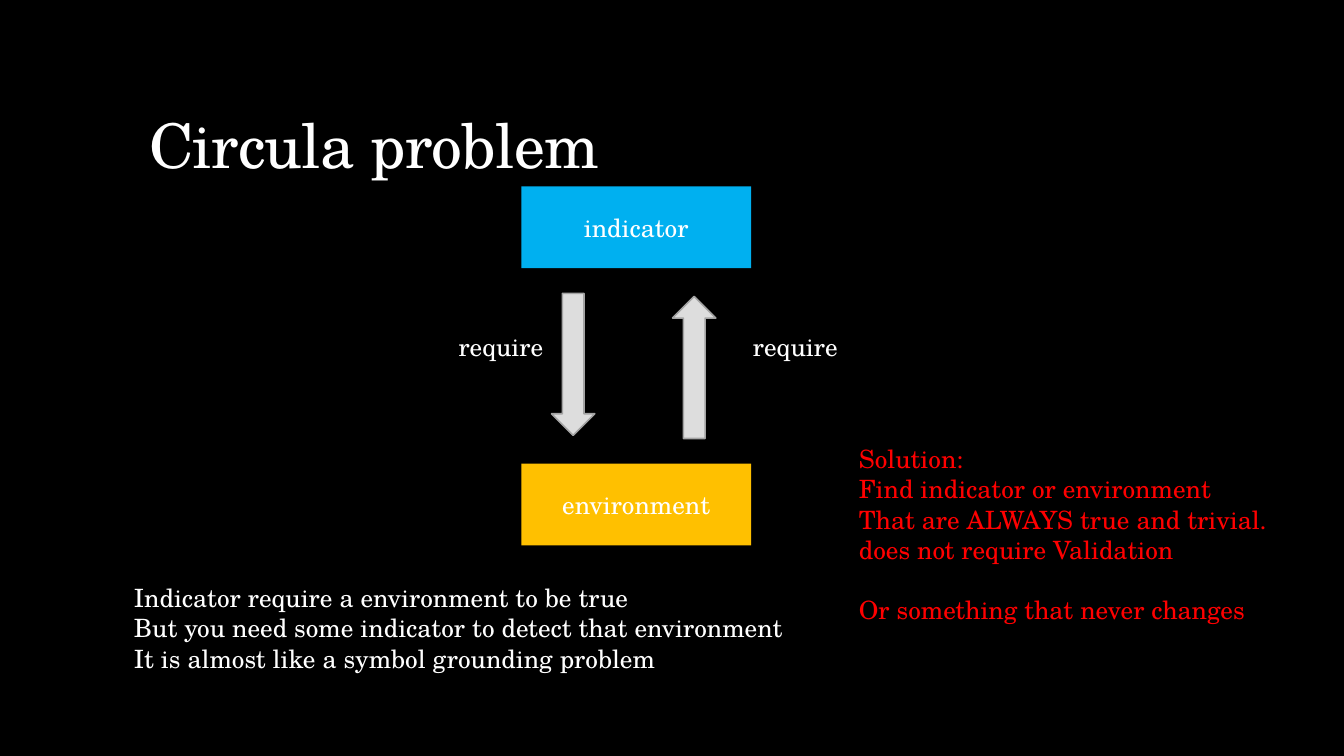
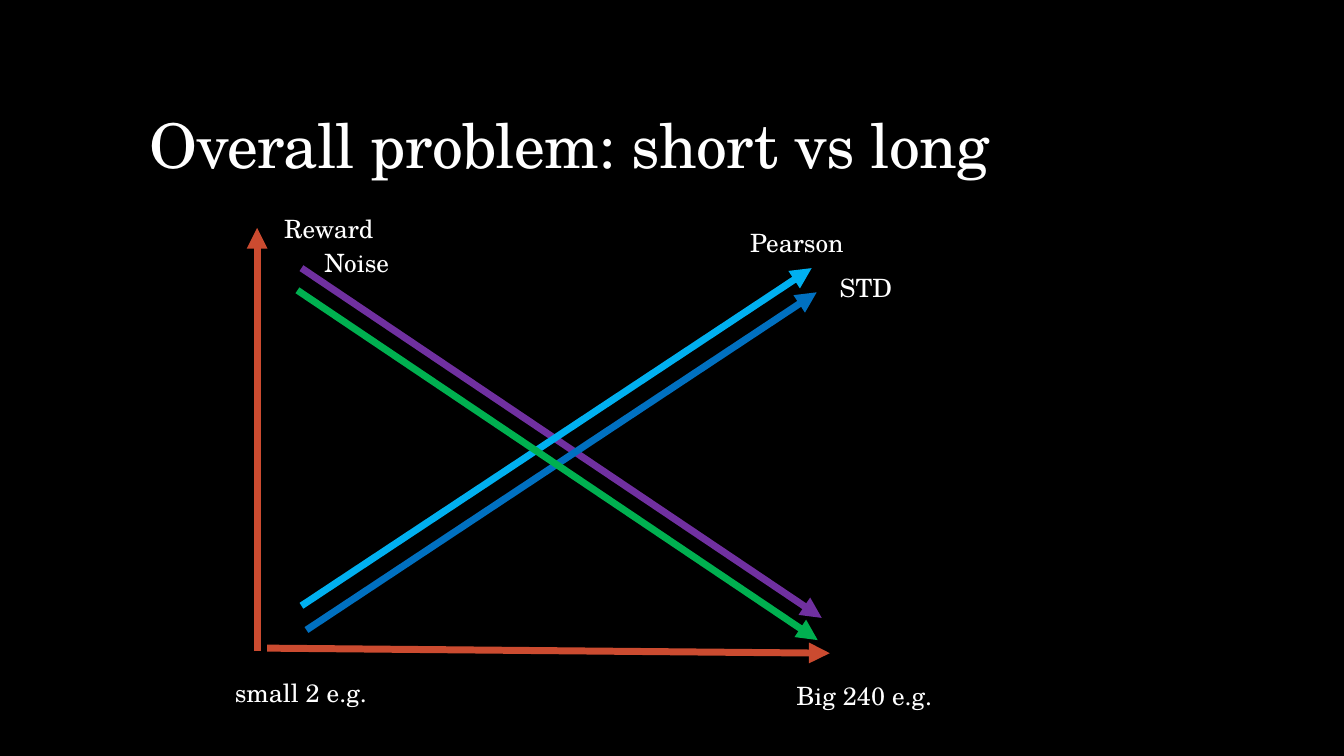
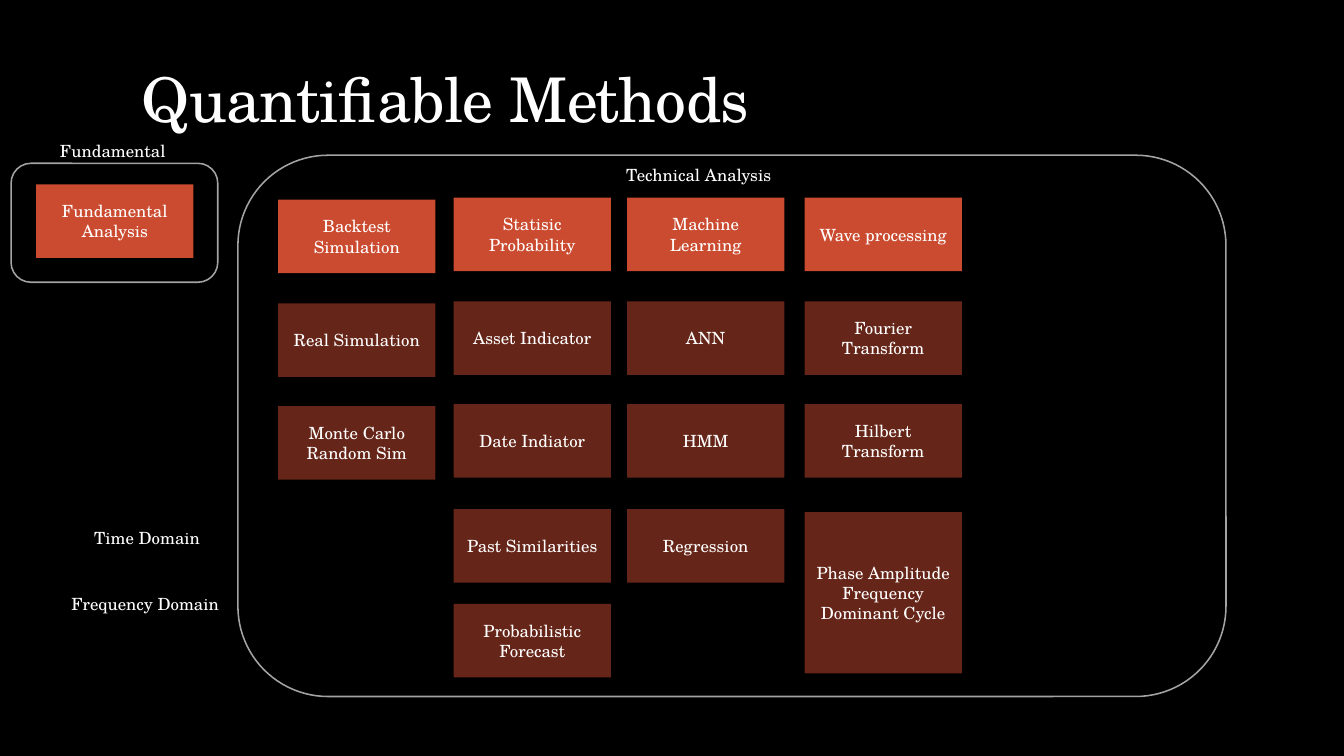
from dataclasses import dataclass
from pptx import Presentation
from pptx.dml.color import RGBColor
from pptx.enum.shapes import MSO_CONNECTOR as Link, MSO_SHAPE as Kind
from pptx.enum.text import MSO_ANCHOR as Anchor, MSO_AUTO_SIZE as Fit, PP_ALIGN as Align
from pptx.oxml.ns import qn
from pptx.util import Inches, Pt
from lxml.etree import SubElement


@dataclass(frozen=True)
class Theme:
    """Colours, font and type sizes of the deck."""
    font: str = "TeX Gyre Schola"
    back: str = "000000"
    text: str = "FFFFFF"
    brick: str = "CB4B30"
    sky: str = "00B0F0"
    blue: str = "0070C0"
    gold: str = "FFC000"
    red: str = "FF0000"
    green: str = "00B050"
    plum: str = "7030A0"
    pale: str = "DDDDDD"
    rim: str = "A3A3A3"
    title: float = 44
    body: float = 18
    small: float = 12
    gap: float = 21.5
    thin: float = 1.1
    thick: float = 5


T = Theme()
COLS, ROWS = 13.33, 7.5  # slide grid, one cell is an inch square

# Circular problem
TERMS = [("indicator", 1.85, T.sky), ("environment", 4.6, T.gold)]
TERM_X, TERM_W, TERM_H = 5.17, 2.28, 0.81
ARROWS = [(5.47, 2.91, 0), (6.67, 2.94, 180)]
NEEDS = [("require", 4.45), ("require", 7.37)]
CAUSE = ["Indicator require a environment to be true",
         "But you need some indicator to detect that environment",
         "It is almost like a symbol grounding problem"]
CURE = ["Solution:", "Find indicator or environment",
        "That are ALWAYS true and trivial.", "does not require Validation",
        "Or something that never changes"]

# Short versus long: start, end, colour
TRENDS = [((2.99, 2.66), (8.15, 6.13), T.plum),
          ((2.65, 6.43), (8.23, 6.48), T.brick),
          ((2.55, 6.46), (2.55, 2.26), T.brick),
          ((2.99, 6.01), (8.05, 2.66), T.sky),
          ((3.04, 6.25), (8.1, 2.9), T.blue),
          ((2.95, 2.88), (8.11, 6.35), T.green)]
TAGS = [("Big 240 e.g.", 7.8, 6.7, 1.56), ("small 2 e.g.", 2.23, 6.67, 1.52),
        ("Pearson", 7.34, 2.21, 1.15), ("STD", 8.23, 2.65, 0.73),
        ("Reward", 2.72, 2.07, 1.1), ("Noise", 3.12, 2.4, 0.86)]

# Methods: left edge, drop below the row line, head and items
METHODS = [
    (2.76, 0.02, ["Backtest Simulation", "Real Simulation", "Monte Carlo Random Sim"]),
    (4.5, 0, ["Statisic\nProbability", "Asset Indicator", "Date Indiator",
              "Past Similarities", "Probabilistic Forecast"]),
    (6.22, 0, ["Machine Learning", "ANN", "HMM", "Regression"]),
    (7.98, 0, ["Wave processing", "Fourier Transform", "Hilbert Transform"])]
LINES = [1.96, 2.99, 4.01, 5.05, 5.99]
CARD_W, CARD_H = 1.56, 0.73
WAVE = ("Phase Amplitude\nFrequency Dominant Cycle", (7.98, 5.08, CARD_W, 1.6))
BASE = ("Fundamental Analysis", (0.36, 1.83, CARD_W, CARD_H))
FRAMES = [(2.36, 1.54, 9.8, 5.37), (0.11, 1.62, 2.05, 1.18)]
HEADS = [("Technical Analysis", 6.93, 1.59), ("Fundamental", 1.12, 1.35),
         ("Time Domain", 1.46, 5.19), ("Frequency Domain", 1.44, 5.84)]
HEAD_W = 2.2


def paint(color):
    """Turn a hex code into a colour."""
    return RGBColor.from_string(color)


def write(frame, lines, size, color=T.text, align=Align.LEFT):
    """Put one styled run in a paragraph for each line."""
    for i, line in enumerate(lines):
        para = frame.paragraphs[0] if i == 0 else frame.add_paragraph()
        para.alignment = align
        run = para.add_run()
        run.text = line
        run.font.name, run.font.size = T.font, Pt(size)
        run.font.color.rgb = paint(color)


def label(slide, lines, box, size=T.body, color=T.text, align=Align.LEFT, wrap=False):
    """Add a text box and return its frame."""
    frame = slide.shapes.add_textbox(*map(Inches, box)).text_frame
    frame.word_wrap, frame.auto_size = wrap, Fit.SHAPE_TO_FIT_TEXT
    write(frame, lines, size, color, align)
    return frame


def block(slide, kind, box, fill=None, rim=None, text="", size=T.small, alpha=None):
    """Add a preset shape with optional fill, outline and centred text."""
    shape = slide.shapes.add_shape(kind, *map(Inches, box))
    shape.shadow.inherit = False
    if fill:
        shape.fill.solid()
        shape.fill.fore_color.rgb = paint(fill)
    else:
        shape.fill.background()
    if alpha:
        tone = shape.fill._xPr.find(".//" + qn("a:srgbClr"))
        SubElement(tone, qn("a:alpha")).set("val", str(alpha * 1000))
    if rim:
        shape.line.color.rgb, shape.line.width = paint(rim), Pt(T.thin)
    else:
        shape.line.fill.background()
    if text:
        shape.text_frame.vertical_anchor = Anchor.MIDDLE
        write(shape.text_frame, text.split("\n"), size, align=Align.CENTER)
    return shape


def arrow(slide, start, end, color):
    """Draw a thick line with a triangle at its end."""
    line = slide.shapes.add_connector(Link.STRAIGHT, *map(Inches, start + end))
    line.line.color.rgb, line.line.width = paint(color), Pt(T.thick)
    SubElement(line.line._get_or_add_ln(), qn("a:tailEnd")).set("type", "triangle")
    SubElement(line._element.spPr, qn("a:effectLst"))


def page(deck, title, left=1.38, base=1.85):
    """Add a blank slide whose title stands on the base line."""
    slide = deck.slides.add_slide(deck.slide_layouts[6])
    frame = label(slide, [title], (left, 0, 10.6, base), T.title, wrap=True)
    frame.auto_size, frame.vertical_anchor = Fit.NONE, Anchor.BOTTOM
    para = frame.paragraphs[0]
    para.line_spacing = 0.9
    para.runs[0].font._element.set("spc", "-50")
    return slide


def circle(deck):
    """Build the slide on the circular problem."""
    slide = page(deck, "Circula problem")
    for text, top, fill in TERMS:
        block(slide, Kind.RECTANGLE, (TERM_X, top, TERM_W, TERM_H), fill,
              text=text, size=T.body)
    for left, top, turn in ARROWS:
        shape = block(slide, Kind.DOWN_ARROW, (left, top, 0.43, 1.41), T.pale, T.rim)
        shape.rotation = turn
    for text, left in NEEDS:
        label(slide, [text], (left, 3.24, 1.66, 0.4), wrap=True)
    label(slide, CAUSE, (1.23, 5.73, 6.72, 1.01))
    cure = label(slide, CURE, (8.42, 4.35, 4.25, 1.92), color=T.red)
    cure.paragraphs[-1].space_before = Pt(T.gap)


def trade(deck):
    """Build the slide on short versus long windows."""
    slide = page(deck, "Overall problem: short vs long")
    for start, end, color in TRENDS:
        arrow(slide, start, end, color)
    for text, left, top, width in TAGS:
        label(slide, [text], (left, top, width, 0.4))


def methods(deck):
    """Build the slide with the columns of methods."""
    slide = page(deck, "Quantifiable Methods", 1.31, 1.4)
    for box in FRAMES:
        block(slide, Kind.ROUNDED_RECTANGLE, box, rim=T.rim)
    for left, drop, names in METHODS:
        for i, (name, top) in enumerate(zip(names, LINES)):
            block(slide, Kind.RECTANGLE, (left, top + drop, CARD_W, CARD_H),
                  T.brick, text=name, alpha=50 if i else None)
    for (name, box), alpha in ((WAVE, 50), (BASE, None)):
        block(slide, Kind.RECTANGLE, box, T.brick, text=name, alpha=alpha)
    for text, mid, top in HEADS:
        label(slide, [text], (mid - HEAD_W / 2, top, HEAD_W, 0.3), T.small,
              align=Align.CENTER, wrap=True)


def main():
    """Build and save the deck."""
    deck = Presentation()
    deck.slide_width, deck.slide_height = Inches(COLS), Inches(ROWS)
    back = deck.slide_master.background.fill
    back.solid()
    back.fore_color.rgb = paint(T.back)
    for build in (circle, trade, methods):
        build(deck)
    deck.save("out.pptx")


main()
